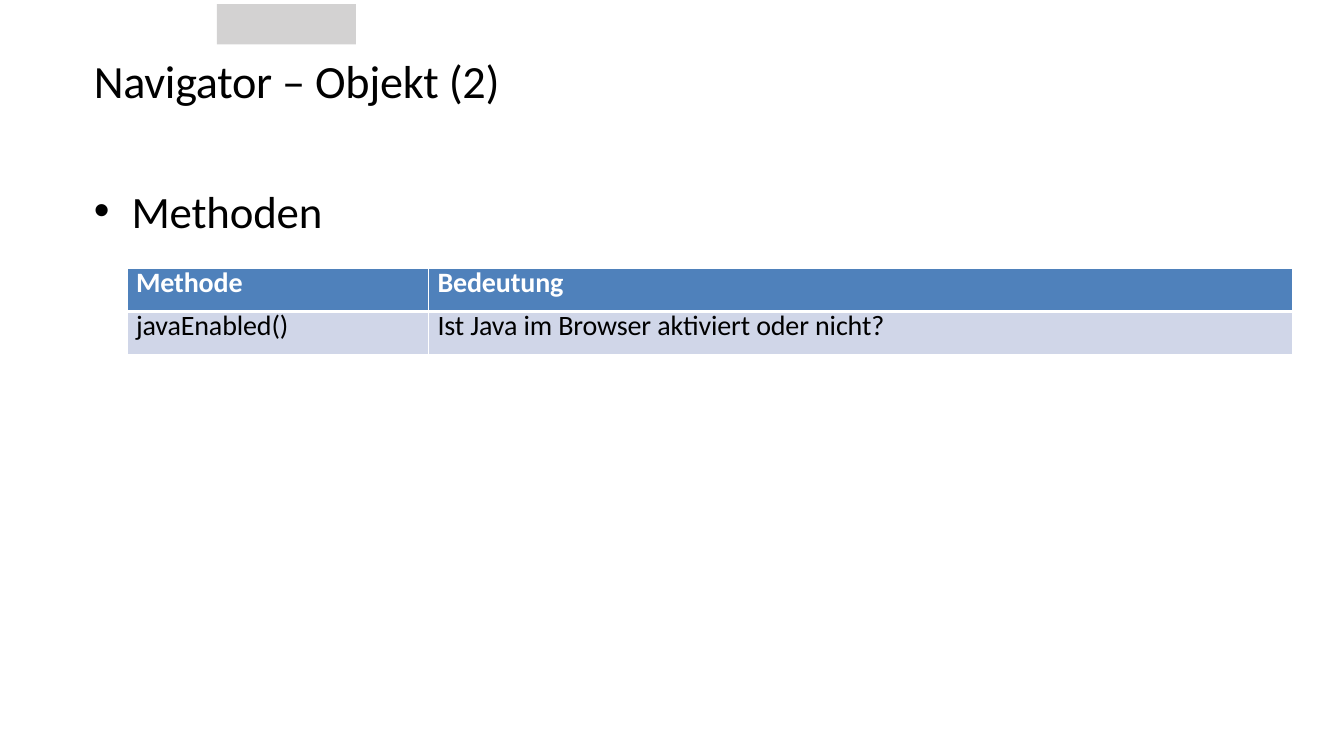
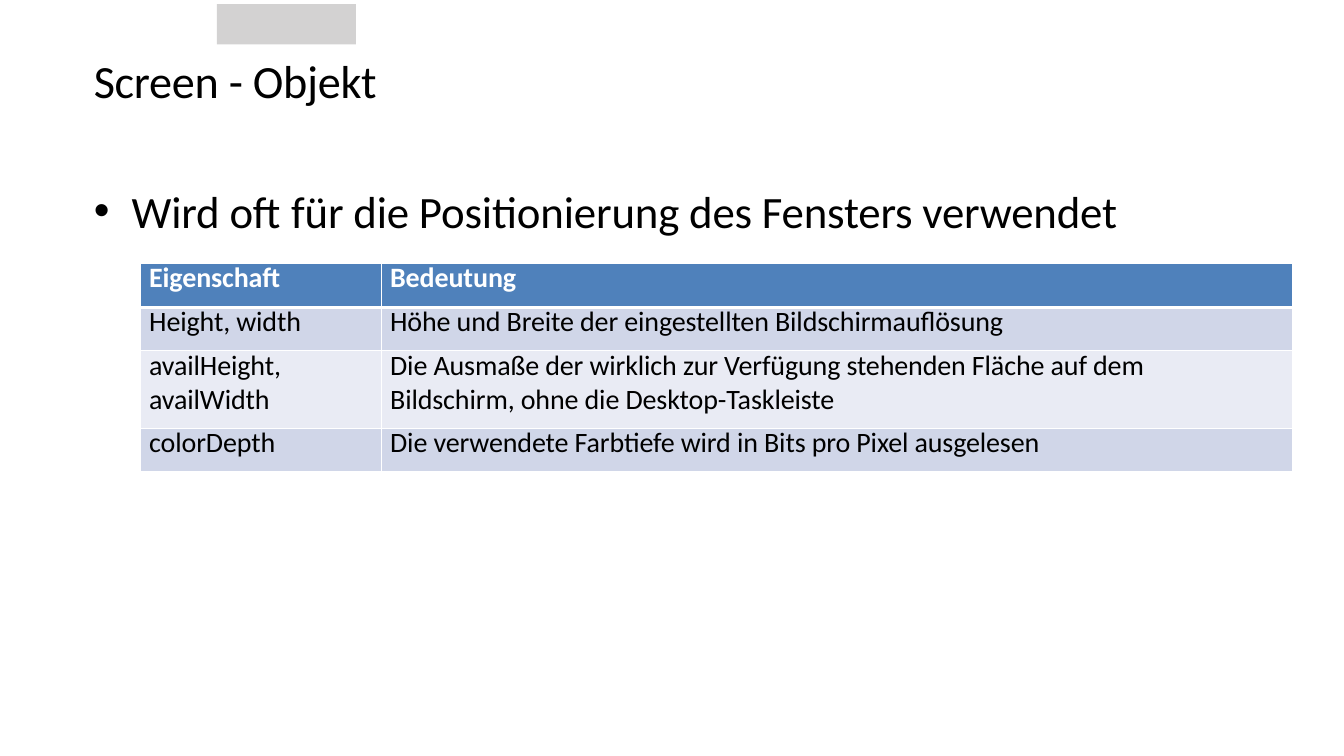
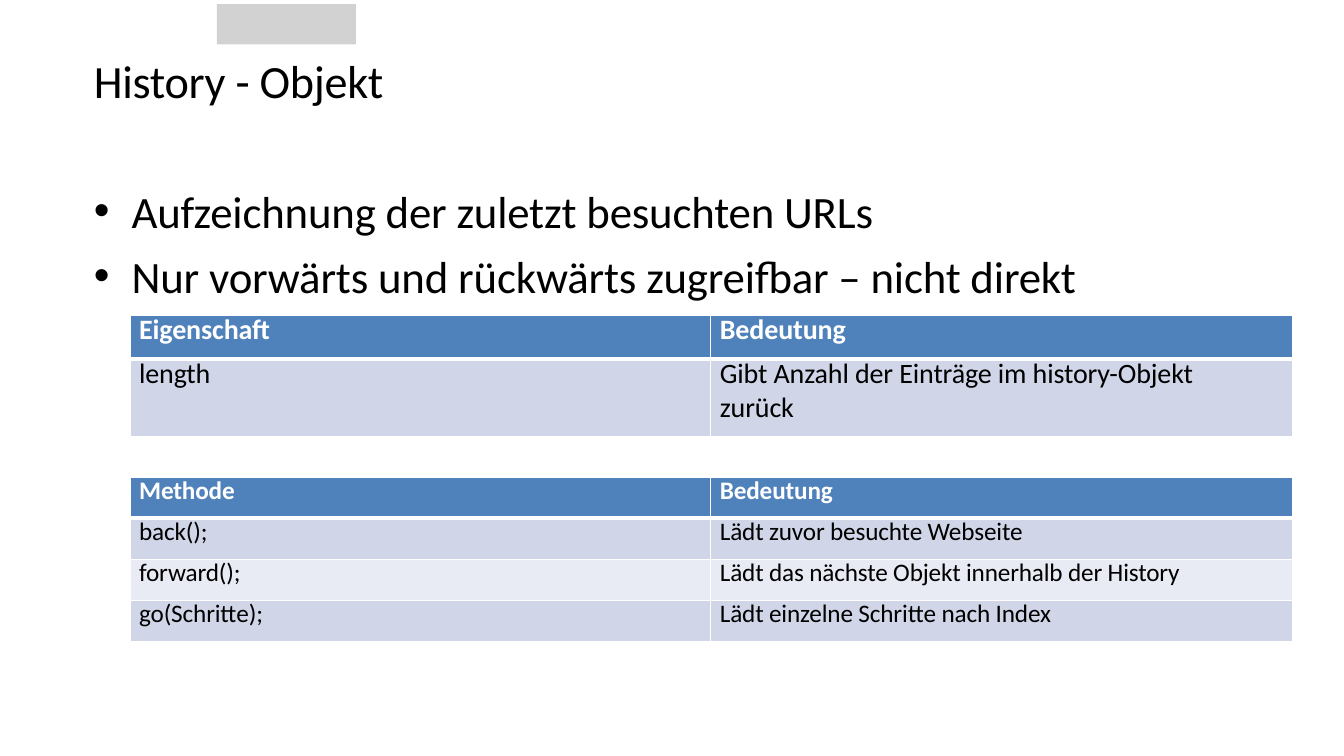
import pptx
import pptx.util
import pptx.dml.color
import pptx.enum.shapes
import pptx.enum.text
import pptx.oxml.ns
import lxml.etree

Inches, Pt = pptx.util.Inches, pptx.util.Pt

# Shared style
FONT = "Calibri"
BLACK, WHITE, GREY = "000000", "FFFFFF", "D3D2D2"
HEADER, BANDS = "4F81BB", ("D0D6E8", "E9EBF4")
LEFT, TABLE_RIGHT = 0.92, 12.82


def rgb(value):
    return pptx.dml.color.RGBColor.from_string(value)


def format_runs(p, size, color=BLACK, bold=False, spacing=-0.1):
    for r in p.runs:
        r.font.name = FONT
        r.font.size = Pt(size)
        r.font.bold = bold
        r.font.color.rgb = rgb(color)
        r.font._element.set("spc", str(round(spacing * 100)))


def place(sp, left, top, width, height):
    sp.left, sp.top = Inches(left), Inches(top)
    sp.width, sp.height = Inches(width), Inches(height)


# Text placeholders
def fill_placeholder(sp, lines, top, width, height, size, spacing):
    place(sp, LEFT, top, width, height)
    tf = sp.text_frame
    tf.text = "\n".join(lines)
    tf.word_wrap = True
    tf.auto_size = pptx.enum.text.MSO_AUTO_SIZE.SHAPE_TO_FIT_TEXT
    tf.vertical_anchor = pptx.enum.text.MSO_ANCHOR.TOP
    tf.margin_left = tf.margin_top = Inches(0.01)
    tf.margin_right = tf.margin_bottom = 0
    for p in tf.paragraphs:
        p.alignment = pptx.enum.text.PP_ALIGN.LEFT
        p.space_before = Pt(8)
        format_runs(p, size, spacing=spacing)


def add_slide(prs, title, title_width, bullets, body_width):
    s = prs.slides.add_slide(prs.slide_layouts[1])
    fill_placeholder(s.shapes.title, [title], 0.51, title_width, 0.58, 33, -0.2)
    body_height = 0.56 + 0.65 * (len(bullets) - 1)
    fill_placeholder(s.placeholders[1], bullets, 1.81, body_width, body_height, 32, -0.15)
    return s


# Grey band, kept on the layout so that every slide shows it
def add_band(s):
    band = s.shapes.add_shape(pptx.enum.shapes.MSO_SHAPE.RECTANGLE,
                              Inches(2.15), Inches(0.04), Inches(1.38), Inches(0.4))
    band.shadow.inherit = False
    band.fill.solid()
    band.fill.fore_color.rgb = rgb(GREY)
    band.line.fill.background()
    s.slide_layout.shapes.element.insert(2, band.element)


# Tables
def add_borders(cell, top, bottom):
    tc_pr = cell._tc.get_or_add_tcPr()
    qn = pptx.oxml.ns.qn
    for side, width in (("L", 1), ("R", 1), ("T", top), ("B", bottom)):
        ln = lxml.etree.SubElement(tc_pr, qn("a:ln" + side), w=str(Pt(width)))
        fill = lxml.etree.SubElement(ln, qn("a:solidFill"))
        lxml.etree.SubElement(fill, qn("a:srgbClr"), val=WHITE)


def format_cell(cell, text, row, size):
    is_header = row == 0
    add_borders(cell, 3 if row == 1 else 1, 3 if is_header else 1)
    cell.fill.solid()
    cell.fill.fore_color.rgb = rgb(HEADER if is_header else BANDS[(row - 1) % 2])
    cell.margin_left = Inches(0.09)
    cell.margin_right = cell.margin_top = cell.margin_bottom = 0
    tf = cell.text_frame
    tf.text = text
    tf.paragraphs[0].line_spacing = Pt(size * 1.14)
    for p in tf.paragraphs:
        format_runs(p, size, WHITE if is_header else BLACK, is_header)


def add_grid(s, left, top, first_width, heights, rows, size=20):
    width = TABLE_RIGHT - left
    table = s.shapes.add_table(len(rows), 2, Inches(left), Inches(top),
                               Inches(width), Inches(sum(heights))).table
    table.horz_banding = False
    table.columns[0].width = Inches(first_width)
    table.columns[1].width = Inches(width - first_width)
    for i, (height, texts) in enumerate(zip(heights, rows)):
        table.rows[i].height = Inches(height)
        for j, text in enumerate(texts):
            format_cell(table.cell(i, j), text, i, size)


def main():
    prs = pptx.Presentation()
    prs.slide_width, prs.slide_height = Inches(13.33), Inches(7.5)

    # Navigator
    s = add_slide(prs, "Navigator – Objekt (2)", 4.2, ["Methoden"], 2.31)
    add_band(s)
    add_grid(s, 1.26, 2.66, 2.99, [0.43, 0.43], [
        ("Methode", "Bedeutung"),
        ("javaEnabled()", "Ist Java im Browser aktiviert oder nicht?"),
    ])

    # Screen
    s = add_slide(prs, "Screen - Objekt", 2.95,
                  ["Wird oft für die Positionierung des Fensters verwendet"], 10.4)
    add_grid(s, 1.39, 2.61, 2.39, [0.44, 0.43, 0.77, 0.43], [
        ("Eigenschaft", "Bedeutung"),
        ("Height, width", "Höhe und Breite der eingestellten Bildschirmauflösung"),
        ("availHeight,\navailWidth",
         "Die Ausmaße der wirklich zur Verfügung stehenden Fläche auf dem\n"
         "Bildschirm, ohne die Desktop-Taskleiste"),
        ("colorDepth", "Die verwendete Farbtiefe wird in Bits pro Pixel ausgelesen"),
    ])

    # History
    s = add_slide(prs, "History - Objekt", 3,
                  ["Aufzeichnung der zuletzt besuchten URLs",
                   "Nur vorwärts und rückwärts zugreifbar – nicht direkt"], 10)
    add_grid(s, 1.29, 3.13, 5.76, [0.43, 0.77], [
        ("Eigenschaft", "Bedeutung"),
        ("length", "Gibt Anzahl der Einträge im history-Objekt\nzurück"),
    ])
    add_grid(s, 1.29, 4.74, 5.76, [0.4, 0.41, 0.41, 0.41], [
        ("Methode", "Bedeutung"),
        ("back();", "Lädt zuvor besuchte Webseite"),
        ("forward();", "Lädt das nächste Objekt innerhalb der History"),
        ("go(Schritte);", "Lädt einzelne Schritte nach Index"),
    ], size=18)

    prs.save("out.pptx")


if __name__ == "__main__":
    main()
